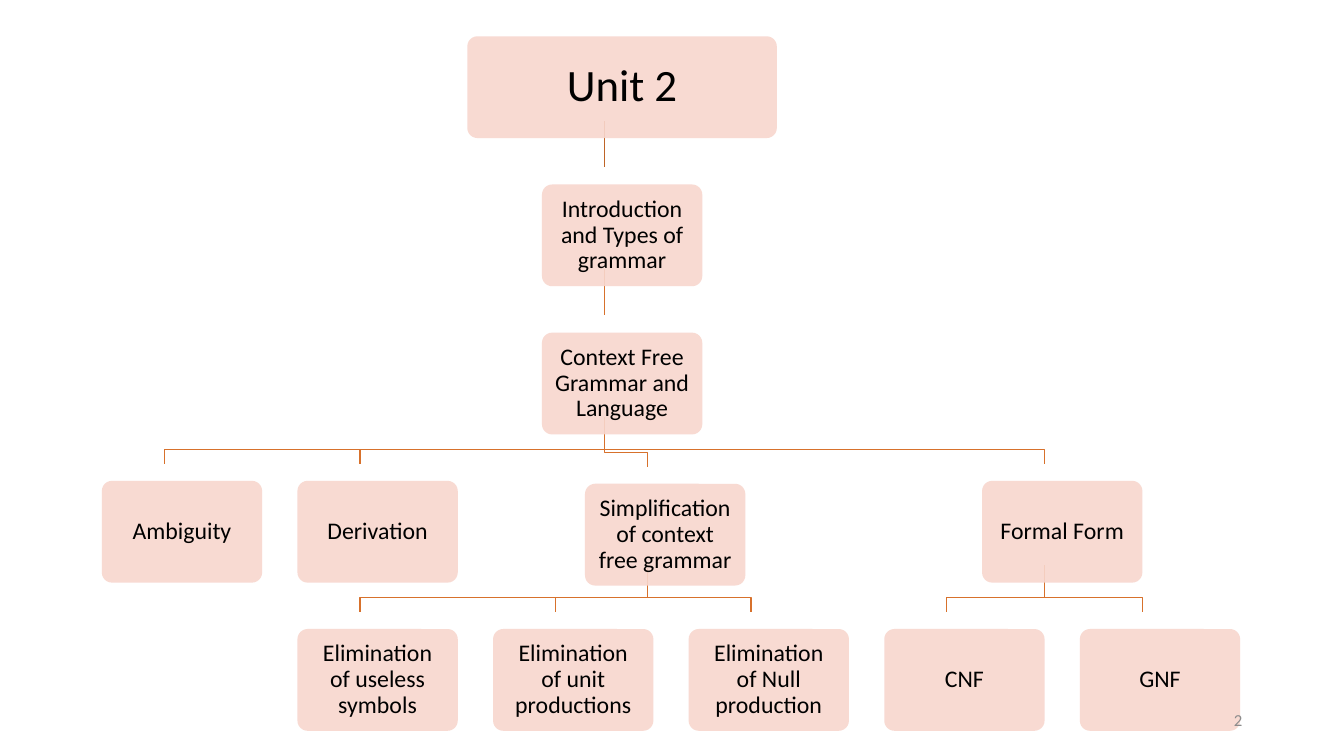
import pptx
import pptx.dml.color
import pptx.enum.shapes
import pptx.enum.text
import pptx.oxml.ns
import pptx.util
from lxml import etree

Inches = pptx.util.Inches
ALIGN = pptx.enum.text.PP_ALIGN
COLORS = {"card": "F8D7CE", "line": "D7712C", "root line": "BE6427",
          "text": "000000", "number": "8C8C8C"}

CARD_WIDTH, CARD_HEIGHT = 1.59, 1.01
COLUMN_STEP, ROW_STEP = 1.94, 1.47
ANCHOR_X = 0.62       # branch position from the left edge of a card
BRANCH_RISE = 0.17    # branches start and end this far above the card edges
BAR_RISE = 0.14       # height of the horizontal bar above the branch end
TITLE = "Unit 2"
TITLE_WIDTH = 3.07

# topic: (column, row, parent)
TOPICS = {
    TITLE: (2.25, 0, None),
    "Introduction and Types of grammar": (2.25, 1, TITLE),
    "Context Free Grammar and Language": (2.25, 2, "Introduction and Types of grammar"),
    "Ambiguity": (0, 3, "Context Free Grammar and Language"),
    "Derivation": (1, 3, "Context Free Grammar and Language"),
    "Simplification of context free grammar": (2.47, 3.02, "Context Free Grammar and Language"),
    "Formal Form": (4.5, 3, "Context Free Grammar and Language"),
    "Elimination of useless symbols": (1, 4, "Simplification of context free grammar"),
    "Elimination of unit productions": (2, 4, "Simplification of context free grammar"),
    "Elimination of Null production": (3, 4, "Simplification of context free grammar"),
    "CNF": (4, 4, "Formal Form"),
    "GNF": (5, 4, "Formal Form"),
}


def rgb(name):
    return pptx.dml.color.RGBColor.from_string(COLORS[name])


def write_text(shape, text, size, color="text", align=ALIGN.CENTER, inset=0.1):
    frame = shape.text_frame
    frame.text = text
    frame.word_wrap = True
    frame.auto_size = pptx.enum.text.MSO_AUTO_SIZE.NONE
    frame.vertical_anchor = pptx.enum.text.MSO_ANCHOR.MIDDLE
    frame.margin_left = frame.margin_right = Inches(inset)
    frame.margin_top = frame.margin_bottom = Inches(inset)
    paragraph = frame.paragraphs[0]
    paragraph.alignment = align
    paragraph.line_spacing = 0.9
    font = paragraph.runs[0].font
    font.name, font.size = "Calibri", pptx.util.Pt(size)
    font.color.rgb = rgb(color)


def add_card(slide, left, top, width):
    card = slide.shapes.add_shape(
        pptx.enum.shapes.MSO_SHAPE.ROUNDED_RECTANGLE,
        Inches(left), Inches(top), Inches(width), Inches(CARD_HEIGHT))
    card.adjustments[0] = 0.1
    card.shadow.inherit = False
    card.fill.solid()
    card.fill.fore_color.rgb = rgb("card")
    card.line.fill.background()
    color = card.fill._xPr.find(".//" + pptx.oxml.ns.qn("a:srgbClr"))
    etree.SubElement(color, pptx.oxml.ns.qn("a:alpha"), val="90000")
    return card


def add_branch(slide, start, end, color):
    (start_x, start_y), (end_x, end_y) = start, end
    if start_x == end_x:
        branch = slide.shapes.add_connector(
            pptx.enum.shapes.MSO_CONNECTOR.STRAIGHT,
            Inches(start_x), Inches(start_y), Inches(end_x), Inches(end_y))
        etree.SubElement(branch._element.spPr, pptx.oxml.ns.qn("a:effectLst"))
    else:
        bar_y = end_y - BAR_RISE
        builder = slide.shapes.build_freeform(Inches(start_x), Inches(start_y))
        corners = [(start_x, bar_y), (end_x, bar_y), (end_x, end_y)]
        builder.add_line_segments([(Inches(x), Inches(y)) for x, y in corners], close=False)
        branch = builder.convert_to_shape()
        branch.fill.background()
        branch.shadow.inherit = False
    branch.line.color.rgb = rgb(color)
    branch.line.width = pptx.util.Pt(1)


def add_topic_tree(slide, left, top):
    corners = {topic: (left + column * COLUMN_STEP, top + row * ROW_STEP)
               for topic, (column, row, parent) in TOPICS.items()}

    # Branches lie behind the cards
    for topic, (column, row, parent) in TOPICS.items():
        if parent:
            parent_x, parent_y = corners[parent]
            x, y = corners[topic]
            add_branch(slide,
                       (parent_x + ANCHOR_X, parent_y + CARD_HEIGHT - BRANCH_RISE),
                       (x + ANCHOR_X, y - BRANCH_RISE),
                       "root line" if parent == TITLE else "line")

    # Cards, the widest one carrying the slide title
    for topic, (x, y) in corners.items():
        if topic == TITLE:
            card = add_card(slide, x - (TITLE_WIDTH - CARD_WIDTH) / 2, y, TITLE_WIDTH)
            title = slide.shapes.title
            title.left, title.top = card.left, card.top
            title.width, title.height = card.width, card.height
            write_text(title, topic, 32)
            card._element.addnext(title._element)
        else:
            write_text(add_card(slide, x, y, CARD_WIDTH), topic, 17)


def add_slide_number(slide, left, top, width, height):
    box = slide.shapes.add_textbox(Inches(left), Inches(top), Inches(width), Inches(height))
    write_text(box, "2", 12, "number", ALIGN.RIGHT)


def main():
    presentation = pptx.Presentation()
    presentation.slide_width = Inches(13.33)
    presentation.slide_height = Inches(7.5)
    slide = presentation.slides.add_slide(presentation.slide_layouts.get_by_name("Title Only"))
    add_topic_tree(slide, 1.01, 0.36)
    add_slide_number(slide, 9.42, 6.95, 3, 0.4)
    presentation.save("out.pptx")


if __name__ == "__main__":
    main()
